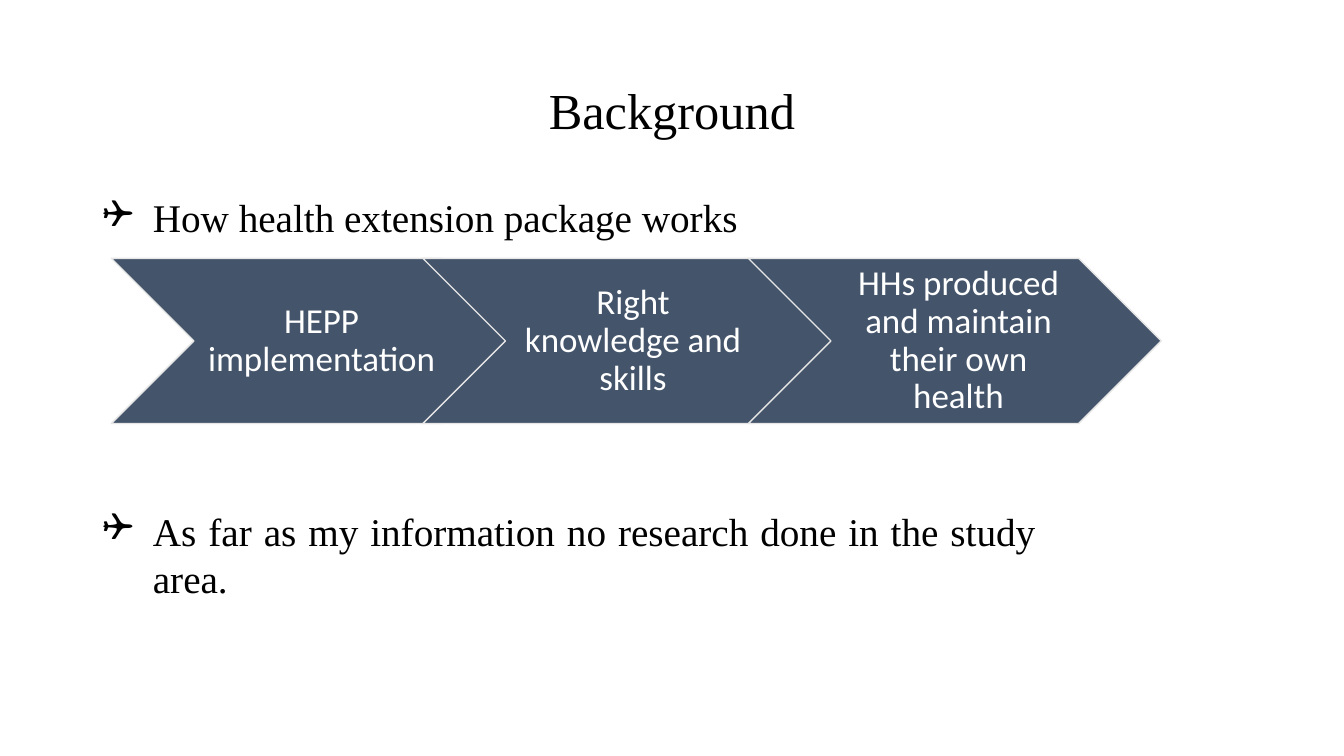
import pptx
import pptx.dml.color
import pptx.enum.shapes
import pptx.enum.text
import pptx.oxml
import pptx.oxml.ns
import pptx.util

Pt = pptx.util.Pt
Align = pptx.enum.text.PP_ALIGN
Anchor = pptx.enum.text.MSO_ANCHOR


def colour(hex_code):
    return pptx.dml.color.RGBColor.from_string(hex_code)


def write(frame, text, font="Times New Roman", size=28, ink="000000",
          align=Align.CENTER, anchor=Anchor.MIDDLE, spacing=0.9):
    frame.word_wrap = True
    frame.auto_size = pptx.enum.text.MSO_AUTO_SIZE.NONE
    frame.vertical_anchor = anchor
    paragraph = frame.paragraphs[0]
    paragraph.alignment = align
    paragraph.line_spacing = spacing
    paragraph.space_before = Pt(0)
    run = paragraph.add_run()
    run.text = text
    run.font.name = font
    run.font.size = Pt(size)
    run.font.color.rgb = colour(ink)
    return paragraph


class BackgroundSlide:
    chevron_fill = "44546A"
    chevron_edge = "E7E6E6"
    chevron_ink = "FFFFFF"
    bullet_indent = 36

    def __init__(self, deck):
        self.slide = deck.slides.add_slide(deck.slide_layouts[3])

    def place(self, part, left, top, width, height):
        part.left, part.top = Pt(left), Pt(top)
        part.width, part.height = Pt(width), Pt(height)

    def title(self, text, *box):
        heading = self.slide.shapes.title
        self.place(heading, *box)
        write(heading.text_frame, text, size=36)

    def bullet(self, index, text, *box):
        body = self.slide.placeholders[index]
        self.place(body, *box)
        paragraph = write(body.text_frame, text, align=Align.JUSTIFY,
                          anchor=Anchor.TOP, spacing=1.0)
        properties = paragraph._p.get_or_add_pPr()
        properties.set("marL", str(Pt(self.bullet_indent)))
        properties.set("indent", str(-Pt(self.bullet_indent)))
        namespace = pptx.oxml.ns.nsdecls("a")
        properties.append(pptx.oxml.parse_xml(f'<a:buFont {namespace} typeface="Wingdings"/>'))
        properties.append(pptx.oxml.parse_xml(f'<a:buChar {namespace} char="❑"/>'))

    def chevrons(self, steps, top, width, height):
        chain = self.slide.shapes.add_group_shape()
        for left, text in steps:
            step = chain.shapes.add_shape(
                pptx.enum.shapes.MSO_SHAPE.CHEVRON,
                Pt(left), Pt(top), Pt(width), Pt(height))
            step.shadow.inherit = False
            step.fill.solid()
            step.fill.fore_color.rgb = colour(self.chevron_fill)
            step.line.color.rgb = colour(self.chevron_edge)
            step.line.width = Pt(1)
            frame = step.text_frame
            frame.margin_left = Pt(8)
            frame.margin_right = frame.margin_top = frame.margin_bottom = Pt(2.7)
            write(frame, text, font="Calibri", size=25, ink=self.chevron_ink)


def main():
    deck = pptx.Presentation()
    deck.slide_width, deck.slide_height = Pt(960), Pt(540)
    background = BackgroundSlide(deck)
    background.title("Background", 66, 28.8, 828, 104.4)
    background.chevrons([
        (79.5, "HEPP implementation"),
        (302, "Right knowledge and skills"),
        (534.5, "HHs produced and maintain their own health"),
    ], top=184.5, width=295, height=118)
    background.bullet(1, "How health extension package works", 66, 134.6, 473, 41)
    background.bullet(2, "As far as my information no research done in the study area.",
                      66, 358.5, 681, 75)
    deck.save("out.pptx")


if __name__ == "__main__":
    main()
